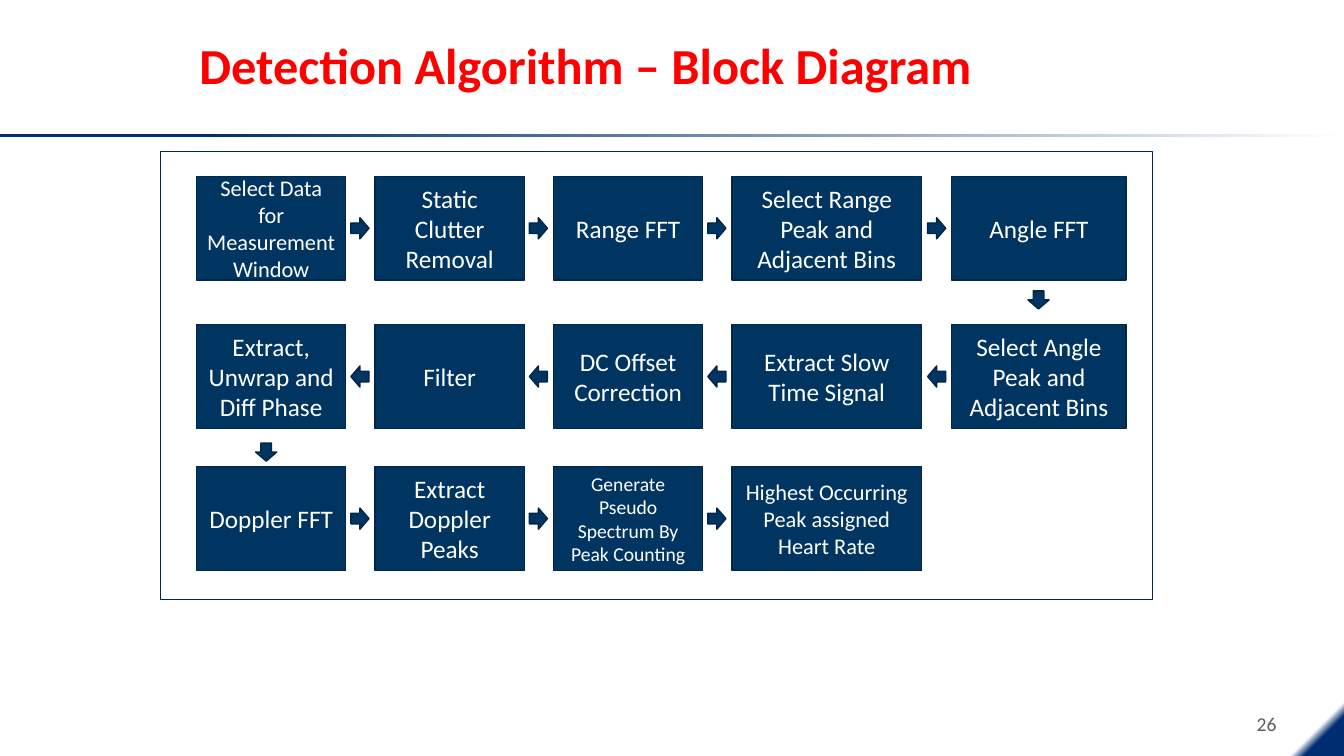
from dataclasses import dataclass
from typing import NamedTuple

from lxml.etree import SubElement
from pptx import Presentation
from pptx.dml.color import RGBColor as Rgb
from pptx.dml.fill import FillFormat as Fill
from pptx.enum.shapes import MSO_SHAPE as Kind
from pptx.enum.text import MSO_ANCHOR as Anchor, PP_ALIGN as Align
from pptx.oxml.ns import qn
from pptx.shapes.autoshape import Shape
from pptx.text.text import TextFrame as Frame
from pptx.util import Pt

PX = 9144  # EMU in one px, 100 px to the inch
FONT = "Calibri"
HUES = {"title": "FF0000", "navy": "002D72", "block": "003562", "edge": "002749",
        "white": "FFFFFF", "grey": "5F5F5F"}


class Box(NamedTuple):
    left: int
    top: int
    width: int
    height: int

    def emu(self) -> list[int]:
        return [side * PX for side in self]


class Col(NamedTuple):
    left: int
    width: int


class Stop(NamedTuple):
    place: float
    hue: str


@dataclass
class Block:
    text: str
    size: int = 18


@dataclass
class Row:
    top: int
    turn: int  # rotation of the arrows between blocks
    blocks: list[Block]


@dataclass
class Arrow:
    mid_x: int
    mid_y: int
    turn: int


# Grid of the diagram
COLS = [Col(195, 148), Col(372, 148), Col(549, 148), Col(726, 188), Col(944, 173)]
HIGH = 103
ROWS = [
    Row(175, 0, [
        Block("Select Data for Measurement Window", 16),
        Block("Static Clutter Removal"),
        Block("Range FFT"),
        Block("Select Range Peak and Adjacent Bins"),
        Block("Angle FFT"),
    ]),
    Row(322, 180, [
        Block("Extract, Unwrap and Diff Phase"),
        Block("Filter"),
        Block("DC Offset Correction"),
        Block("Extract Slow Time Signal"),
        Block("Select Angle Peak and Adjacent Bins"),
    ]),
    Row(463, 0, [
        Block("Doppler FFT"),
        Block("Extract Doppler Peaks"),
        Block("Generate Pseudo Spectrum By Peak Counting", 14),
        Block("Highest Occurring Peak assigned Heart Rate", 16),
    ]),
]
DOWN = [Arrow(1030, 297, 90), Arrow(264, 448, 90)]

deck = Presentation()
deck.slide_width, deck.slide_height = 1333 * PX, 750 * PX
slide = deck.slides.add_slide(deck.slide_layouts[6])


def tint(name: str) -> Rgb:
    return Rgb.from_string(HUES[name])


def shape(kind: Kind, box: Box) -> Shape:
    item = slide.shapes.add_shape(kind, *box.emu())
    item.shadow.inherit = False
    return item


def outline(item: Shape) -> None:
    item.line.color.rgb = tint("edge")
    item.line.width = Pt(1)


def solid(kind: Kind, box: Box) -> Shape:
    item = shape(kind, box)
    item.fill.solid()
    item.fill.fore_color.rgb = tint("block")
    outline(item)
    return item


def blend(box: Box, stops: list[Stop]) -> Fill:
    item = shape(Kind.RECTANGLE, box)
    item.line.fill.background()
    item.fill.gradient()
    item.fill.gradient_angle = 0
    for mark, stop in zip(item.fill.gradient_stops, stops):
        mark.position = stop.place
        mark.color.rgb = tint(stop.hue)
    return item


def write(frame: Frame, text: str, size: int, hue: str, align: Align,
          anchor: Anchor = Anchor.MIDDLE, bold: bool = False) -> None:
    frame.word_wrap = True
    frame.vertical_anchor = anchor
    frame.text = text
    line = frame.paragraphs[0]
    line.alignment = align
    font = line.runs[0].font
    font.name, font.size, font.bold = FONT, Pt(size), bold
    font.color.rgb = tint(hue)


def label(box: Box) -> Frame:
    return slide.shapes.add_textbox(*box.emu()).text_frame


def draw_arrow(arrow: Arrow) -> None:
    wide, high = 18, 21
    box = Box(arrow.mid_x - wide // 2, arrow.mid_y - high // 2, wide, high)
    solid(Kind.RIGHT_ARROW, box).rotation = arrow.turn


def draw_row(row: Row) -> None:
    for col, block in zip(COLS, row.blocks):
        item = solid(Kind.RECTANGLE, Box(col.left, row.top, col.width, HIGH))
        write(item.text_frame, block.text, block.size, "white", Align.CENTER)
    used = COLS[:len(row.blocks)]
    for col, right in zip(used, used[1:]):
        mid = (col.left + col.width + right.left) // 2
        draw_arrow(Arrow(mid, row.top + HIGH // 2, row.turn))


# Corner with a round gradient centred on its top left
corner = blend(Box(1233, 650, 100, 100), [Stop(0.73, "white"), Stop(0.8, "navy")])
grad = corner.element.spPr.find(qn("a:gradFill"))
grad.remove(grad.find(qn("a:lin")))
ring = SubElement(grad, qn("a:path"), {"path": "circle"})
SubElement(ring, qn("a:fillToRect"), {"r": "100000", "b": "100000"})

# Rule, title and page number
blend(Box(0, 133, 1333, 3), [Stop(0.15, "navy"), Stop(1, "white")])
title = label(Box(188, 15, 1054, 106))
write(title, "Detection Algorithm – Block Diagram", 36, "title", Align.LEFT, bold=True)
title.paragraphs[0].line_spacing = 0.9
write(label(Box(1221, 695, 55, 40)), "26", 14, "grey", Align.RIGHT, Anchor.BOTTOM)

# Block diagram
for row in ROWS:
    draw_row(row)
for arrow in DOWN:
    draw_arrow(arrow)

# Border around the diagram
border = shape(Kind.RECTANGLE, Box(159, 150, 984, 445))
border.fill.background()
outline(border)

deck.save("out.pptx")
